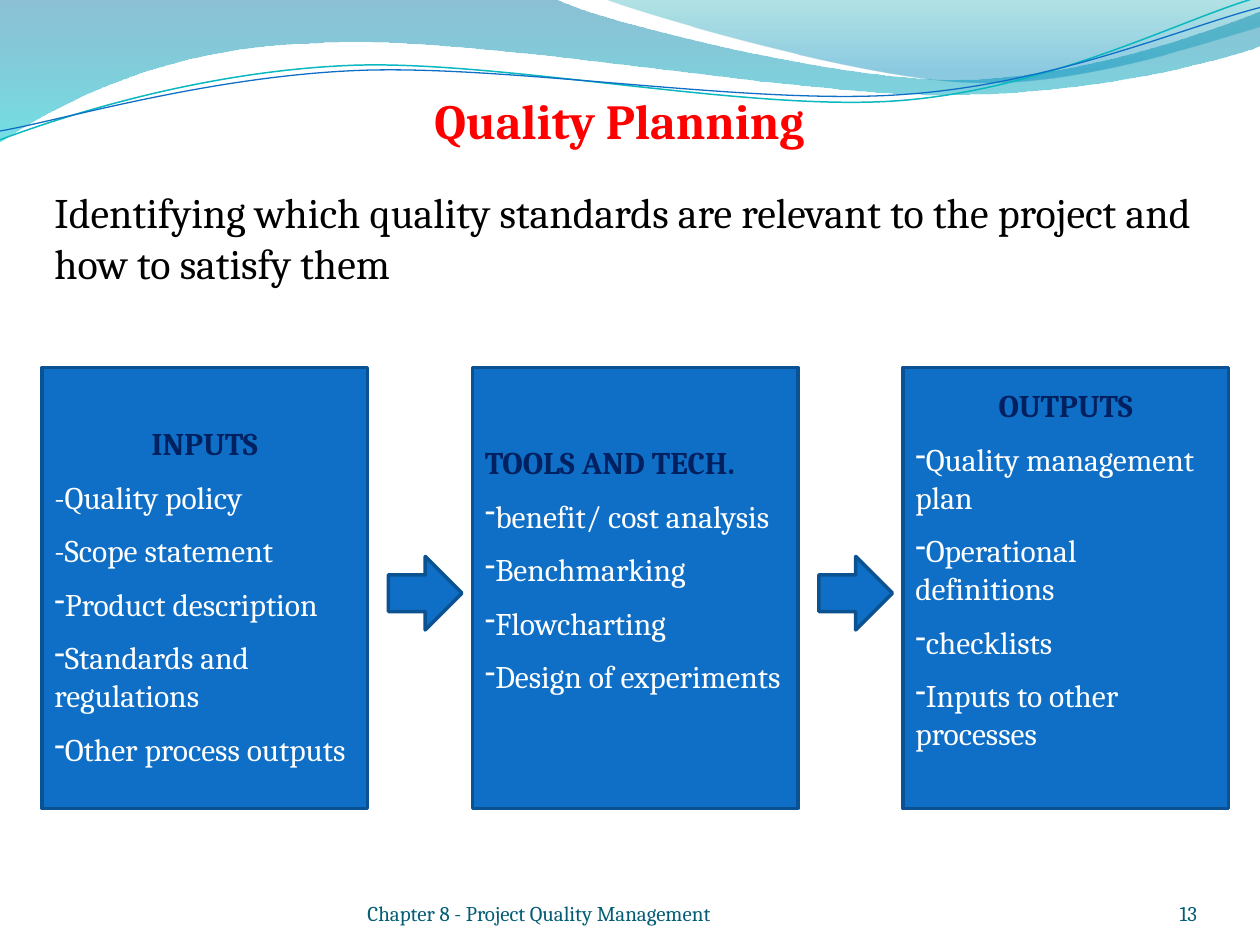
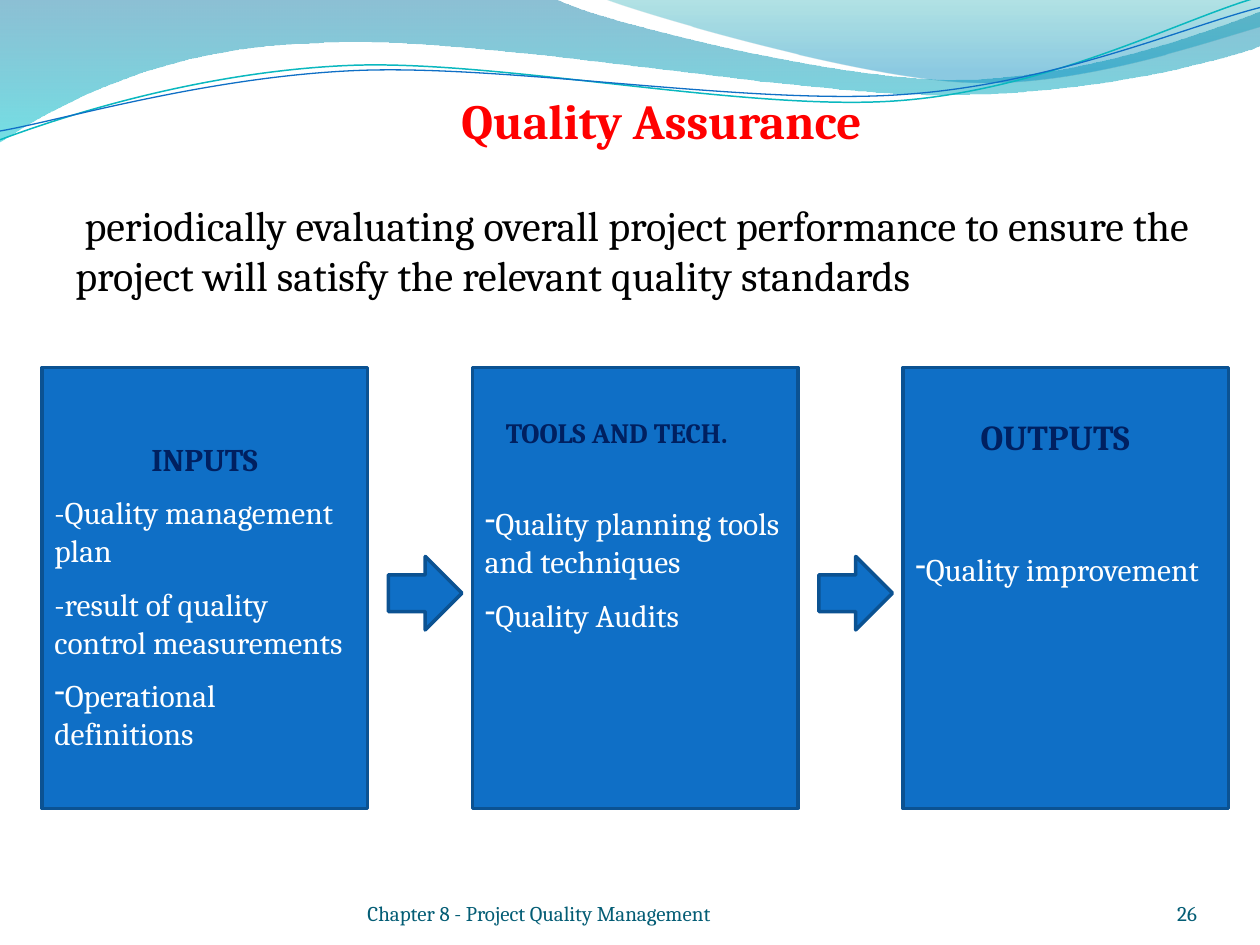
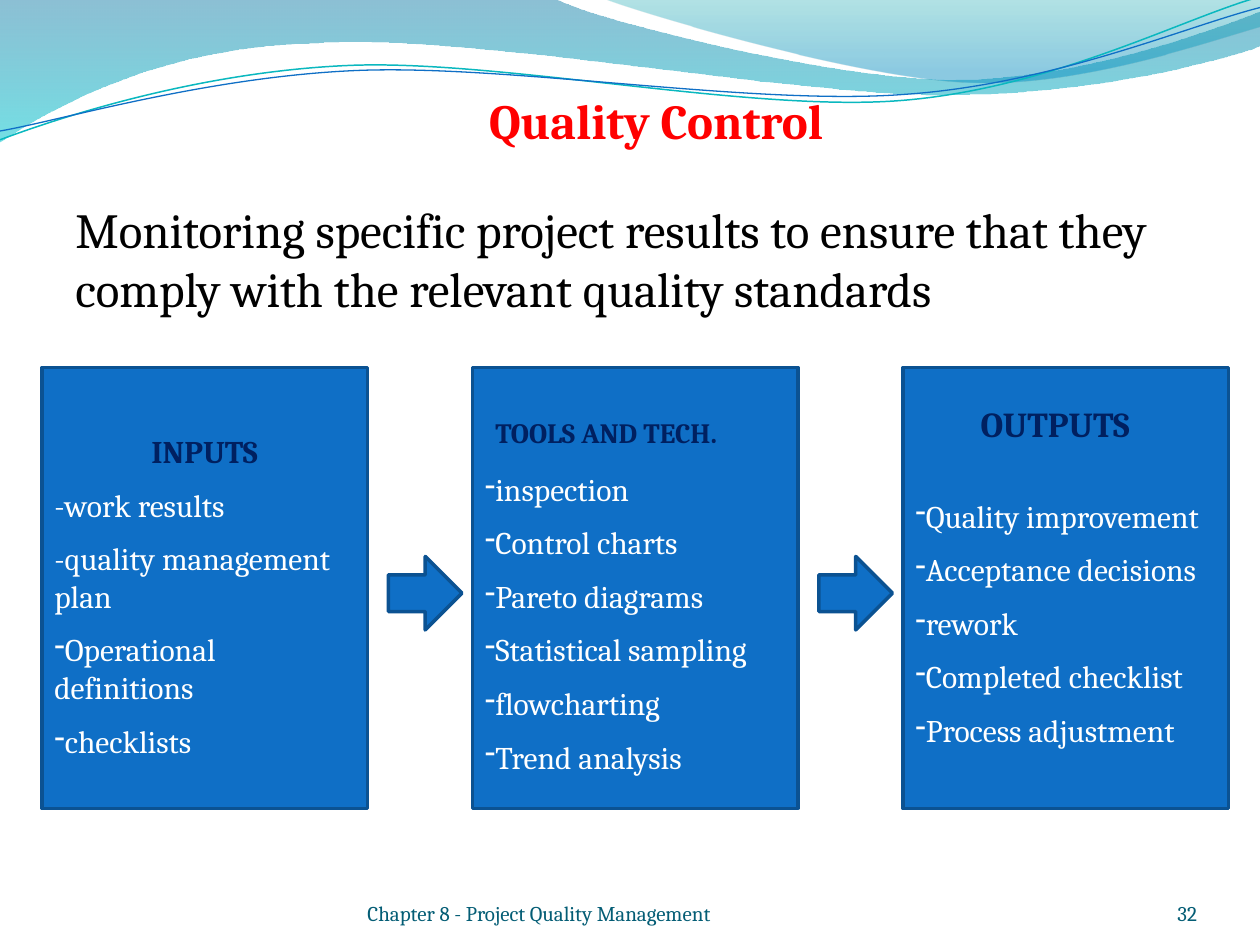
"""Three process slides on project quality: planning, assurance and control."""
from dataclasses import dataclass

from lxml import etree
from pptx import Presentation
from pptx import util as u
from pptx.dml.color import RGBColor
from pptx.enum import shapes, text
from pptx.oxml import ns

COLUMNS = 120
WIDTH, HEIGHT = u.Inches(10), u.Inches(7.5)
CELL = WIDTH / COLUMNS
PANEL_STEP, PANEL_COLUMNS, PANEL_ROWS = 41, 31, 42
BLANK_ROWS, BLANK_WITH_GAP_ROWS = 3.6, 5.1
LEFT, CENTER, RIGHT = text.PP_ALIGN.LEFT, text.PP_ALIGN.CENTER, text.PP_ALIGN.RIGHT
TOP, MIDDLE, BOTTOM = text.MSO_ANCHOR.TOP, text.MSO_ANCHOR.MIDDLE, text.MSO_ANCHOR.BOTTOM


@dataclass(frozen=True)
class Theme:
    """Colours, font and type sizes of the deck."""
    font: str = "Cambria"
    title: str = "FF0000"
    body: str = "000000"
    heading: str = "002060"
    item: str = "FFFFFF"
    footer: str = "045D75"
    panel: str = "0F6FC6"
    outline: str = "0B5292"
    curve: str = "0AB8BF"
    large_band: tuple = ((0, "0074A1", 45), (1, "00C6CF", 55))
    small_band: tuple = ((0, "00A1A9", 30), (0.8, "008BBF", 45))
    title_size: int = 28
    body_size: int = 24
    item_size: int = 18
    footer_size: int = 12
    gap: int = 9


THEME = Theme()


@dataclass
class Panel:
    """A process box: items led by a typed dash get no bullet, the others do."""
    items: list
    heading: str = ""
    align: int = CENTER
    blanks: int = 0


@dataclass
class Label:
    """A heading laid over a panel."""
    words: str
    box: tuple
    size: int
    align: int = LEFT


@dataclass
class Topic:
    """The content of one slide."""
    title: str
    statement: str
    number: int
    panels: list
    labels: tuple = ()
    left: float = 6
    columns: float = 114
    statement_row: float = 18.4
    statement_size: int = THEME.body_size


TOPICS = [
    Topic("Quality Planning ",
          "Identifying which quality standards are relevant to the project and how to satisfy them",
          13,
          [Panel(["-Quality policy", "-Scope statement", "Product description",
                  "Standards and regulations", "Other process outputs"], "INPUTS", blanks=1),
           Panel(["benefit/ cost analysis", "Benchmarking", "Flowcharting",
                  "Design of experiments"], "TOOLS AND TECH.", LEFT),
           Panel(["Quality management plan", "Operational definitions", "checklists",
                  "Inputs to other processes"], "OUTPUTS")],
          left=4, columns=111, statement_row=17.2),
    Topic("Quality Assurance",
          " periodically evaluating overall project performance to ensure the project "
          "will satisfy the relevant quality standards",
          26,
          [Panel(["-Quality management plan", "-result of quality control measurements",
                  "Operational definitions"], "INPUTS", blanks=1),
           Panel(["Quality planning tools and techniques", "Quality Audits"]),
           Panel(["Quality improvement"])],
          (Label("OUTPUTS", (88, 39, 25, 5.3), 20, CENTER),
           Label("TOOLS AND TECH.", (47, 39, 28, 7.7), 16))),
    Topic("Quality Control ",
          "Monitoring specific project results to ensure that they comply with the "
          "relevant quality standards",
          32,
          [Panel(["-work results", "-quality management plan", "Operational definitions",
                  "checklists"], "INPUTS", blanks=1),
           Panel(["inspection", "Control charts", "Pareto diagrams", "Statistical sampling",
                  "flowcharting", "Trend analysis"], blanks=2),
           Panel(["Quality improvement", "Acceptance decisions", "rework",
                  "Completed checklist", "Process adjustment"], blanks=2)],
          (Label("OUTPUTS", (88, 37.75, 25, 5.3), 20, CENTER),
           Label("TOOLS AND TECH.", (46, 39, 28, 7.7), 16)),
          statement_size=THEME.title_size),
]

LARGE_BAND = [(0, 0), [(4.4, -0.01)],
              [(4.76, 0.17), (6.64, 0.63), (7.58, 0.63)],
              [(8.53, 0.63), (9.58, 0.26), (10, 0.09)], [(10.01, 0.36)],
              [(9.83, 0.44), (8.7, 0.76), (7.46, 0.75)],
              [(6.22, 0.75), (3.82, 0.28), (2.57, 0.34)],
              [(1.29, 0.36), (0.46, 0.83), (-0.01, 1.13)]]
SMALL_BAND = [(4.79, -0.01), [(5.09, 0.11), (6.82, 0.62), (7.69, 0.65)],
              [(8.56, 0.69), (9.61, 0.32), (10, 0.21)], [(10, 0)]]
UPPER_CURVE = [(0, 1.11), [(0.48, 0.93), (1.58, 0.57), (2.77, 0.52)],
               [(3.95, 0.47), (5.93, 0.89), (7.13, 0.8)],
               [(8.33, 0.71), (9.38, 0.15), (9.98, -0.02)]]
LOWER_CURVE = [(0, 1.04), [(0.47, 0.96), (1.64, 0.61), (2.83, 0.56)],
               [(4.03, 0.51), (5.97, 0.84), (7.17, 0.75)],
               [(8.36, 0.67), (9.41, 0.21), (10, 0.06)]]


def cells(*lengths):
    """Turn grid columns and rows into lengths."""
    return [u.Emu(round(length * CELL)) for length in lengths]


def color(value):
    """Return the colour for a hex value."""
    return RGBColor.from_string(value)


def style(paragraph, size, hue, bold=False, align=LEFT):
    """Format a paragraph and its runs."""
    paragraph.alignment = align
    for run in paragraph.runs:
        run.font.name = THEME.font
        run.font.size = u.Pt(size)
        run.font.bold = bold
        run.font.color.rgb = color(hue)


def set_frame(frame, anchor, margins=None):
    """Wrap and anchor a text frame, with margins as left, top, right, bottom cells."""
    frame.word_wrap = True
    frame.auto_size = text.MSO_AUTO_SIZE.NONE
    frame.vertical_anchor = anchor
    if margins:
        (frame.margin_left, frame.margin_top,
         frame.margin_right, frame.margin_bottom) = cells(*margins)


def add_text(slide, words, box, size, hue, bold=False, align=LEFT, anchor=TOP, margins=None):
    """Add a text box of one paragraph."""
    frame = slide.shapes.add_textbox(*cells(*box)).text_frame
    set_frame(frame, anchor, margins)
    frame.text = words
    style(frame.paragraphs[0], size, hue, bold, align)


def add_block(slide, kind, box):
    """Add a filled and outlined preset shape."""
    shape = slide.shapes.add_shape(kind, *cells(*box))
    shape.shadow.inherit = False
    shape.fill.solid()
    shape.fill.fore_color.rgb = color(THEME.panel)
    shape.line.color.rgb = color(THEME.outline)
    shape.line.width = u.Pt(2)
    return shape


def add_dash(paragraph):
    """Give a paragraph a dash bullet in the font of its text, without indent."""
    properties = paragraph._p.get_or_add_pPr()
    properties.set("marL", "0")
    properties.set("indent", "0")
    etree.SubElement(properties, ns.qn("a:buFontTx"))
    etree.SubElement(properties, ns.qn("a:buChar"), char="-")


def add_panel(slide, panel, column):
    """Add a process box with its heading and items."""
    shape = add_block(slide, shapes.MSO_SHAPE.RECTANGLE,
                      (column, 35, PANEL_COLUMNS, PANEL_ROWS))
    frame = shape.text_frame
    set_frame(frame, MIDDLE, (1.2, panel.blanks * BLANK_WITH_GAP_ROWS, 1.2, BLANK_ROWS))
    headings = [panel.heading] if panel.heading else []
    frame.text = "\n".join(headings + panel.items)
    for index, paragraph in enumerate(frame.paragraphs):
        if index:
            paragraph.space_before = u.Pt(THEME.gap)
        if index < len(headings):
            style(paragraph, THEME.item_size, THEME.heading, True, panel.align)
        else:
            style(paragraph, THEME.item_size, THEME.item)
            if not paragraph.text.startswith("-"):
                add_dash(paragraph)


def bend(shape, segments):
    """Turn each three-point segment of a freeform into one cubic curve."""
    lines = iter(shape.element.findall(".//" + ns.qn("a:lnTo")))
    for segment in segments:
        corners = [next(lines) for _ in segment]
        if len(corners) == 3:
            curve = etree.Element(ns.qn("a:cubicBezTo"))
            corners[0].addprevious(curve)
            for corner in corners:
                curve.append(corner[0])
                corner.getparent().remove(corner)


def add_outline(slide, outline, close):
    """Build a freeform from a start point and its line and curve segments."""
    start, *segments = outline
    points = [(u.Inches(x), u.Inches(y)) for segment in segments for x, y in segment]
    builder = slide.shapes.build_freeform(u.Inches(start[0]), u.Inches(start[1]))
    builder.add_line_segments(points, close=close)
    shape = builder.convert_to_shape()
    shape.shadow.inherit = False
    bend(shape, segments)
    return shape


def add_band(slide, outline, stops):
    """Add a wave with a see-through vertical gradient."""
    shape = add_outline(slide, outline, True)
    shape.line.fill.background()
    shape.fill.gradient()
    shape.fill.gradient_angle = 270
    for stop, (position, hue, _) in zip(shape.fill.gradient_stops, stops):
        stop.position = position
        stop.color.rgb = color(hue)
    tints = shape.element.spPr.findall(".//" + ns.qn("a:gs") + "/" + ns.qn("a:srgbClr"))
    for tint, (_, _, opacity) in zip(tints, stops):
        etree.SubElement(tint, ns.qn("a:alpha"), val=str(opacity * 1000))
    return shape


def add_curve(slide, outline, hue, width):
    """Add a thin open curve."""
    shape = add_outline(slide, outline, False)
    shape.fill.background()
    shape.line.color.rgb = color(hue)
    shape.line.width = u.Pt(width)
    return shape


def move_waves_to_master(presentation, slide):
    """Draw the waves once and hand them to the slide master."""
    waves = [add_band(slide, LARGE_BAND, THEME.large_band),
             add_band(slide, SMALL_BAND, THEME.small_band),
             add_curve(slide, UPPER_CURVE, THEME.curve, 0.85),
             add_curve(slide, LOWER_CURVE, THEME.panel, 0.75)]
    for number, wave in enumerate(waves, 100):
        wave.element.find(".//" + ns.qn("p:cNvPr")).set("id", str(number))
        presentation.slide_master.shapes.element.append(wave.element)


def add_title(slide, topic):
    """Place and format the title placeholder."""
    title = slide.shapes.title
    title.left, title.top, title.width, title.height = cells(topic.left, 8, topic.columns, 7)
    set_frame(title.text_frame, TOP)
    title.text_frame.text = topic.title
    style(title.text_frame.paragraphs[0], THEME.title_size, THEME.title, True, CENTER)


def add_footer(slide, number):
    """Add the chapter name and the slide number."""
    for words, column, columns, align in (
            ("Chapter 8 - Project Quality Management", 35, 44, LEFT),
            (str(number), 104, 10, RIGHT)):
        add_text(slide, words, (column, 83.4, columns, 4.8), THEME.footer_size,
                 THEME.footer, align=align, anchor=BOTTOM, margins=(0, 0, 0, 0))


def fill_slide(slide, topic):
    """Put one topic on its slide."""
    add_title(slide, topic)
    add_footer(slide, topic.number)
    for index, panel in enumerate(topic.panels):
        add_panel(slide, panel, 4 + index * PANEL_STEP)
        if index:
            add_block(slide, shapes.MSO_SHAPE.RIGHT_ARROW, (index * PANEL_STEP - 4, 53, 7, 7))
    add_text(slide, topic.statement, (topic.left, topic.statement_row, topic.columns, 13),
             topic.statement_size, THEME.body)
    for label in topic.labels:
        add_text(slide, label.words, label.box, label.size, THEME.heading, True, label.align)


def main():
    """Build and save the deck."""
    presentation = Presentation()
    presentation.slide_width, presentation.slide_height = WIDTH, HEIGHT
    layout = presentation.slide_layouts[5]
    for topic in TOPICS:
        slide = presentation.slides.add_slide(layout)
        if topic is TOPICS[0]:
            move_waves_to_master(presentation, slide)
        fill_slide(slide, topic)
    presentation.save("out.pptx")


if __name__ == "__main__":
    main()
